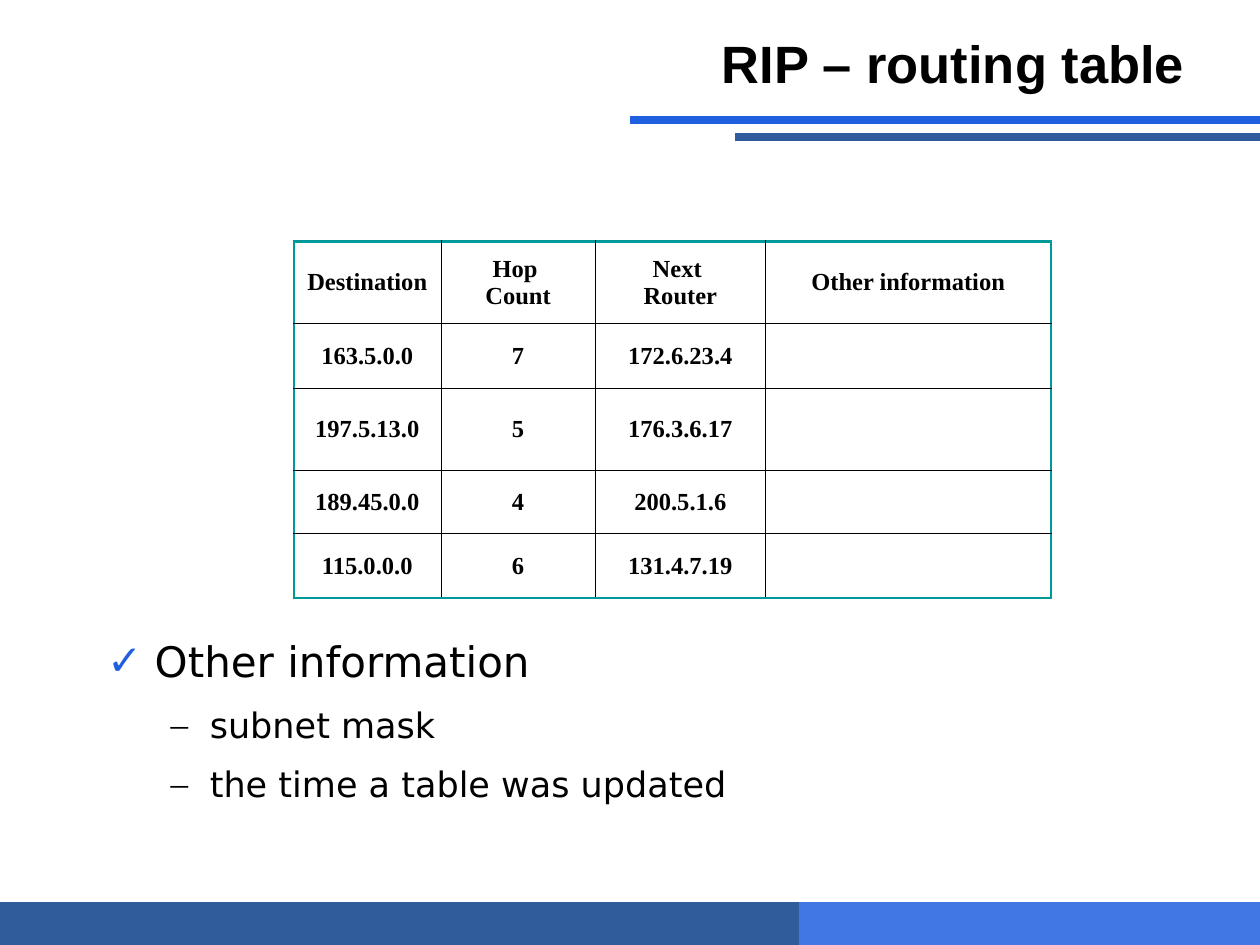
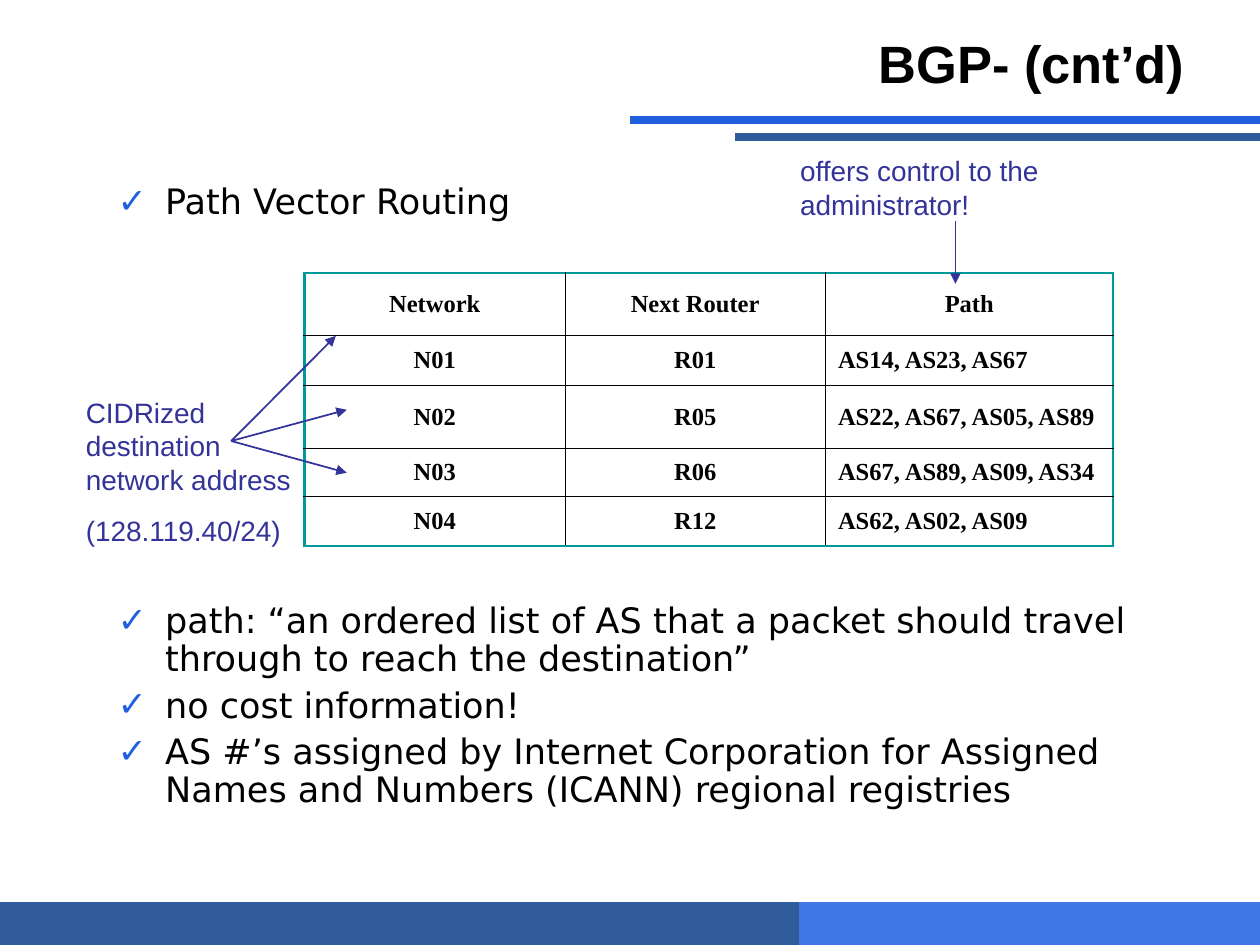
"""Build two slides on the RIP and BGP routing tables."""
import pptx
import pptx.dml.color
import pptx.enum.shapes
import pptx.enum.text
import pptx.oxml.ns
import pptx.util
from lxml import etree

Cm = pptx.util.Cm
Pt = pptx.util.Pt
RGBColor = pptx.dml.color.RGBColor
PP_ALIGN = pptx.enum.text.PP_ALIGN
MIDDLE = pptx.enum.text.MSO_ANCHOR.MIDDLE

BLACK = RGBColor(0x00, 0x00, 0x00)
WHITE = RGBColor(0xFF, 0xFF, 0xFF)
BRIGHT_BLUE = RGBColor(0x20, 0x60, 0xE0)
LIGHT_BLUE = RGBColor(0x40, 0x77, 0xE4)
DARK_BLUE = RGBColor(0x31, 0x5C, 0x9B)
TEAL = RGBColor(0x00, 0x99, 0x99)
INDIGO = RGBColor(0x33, 0x33, 0x99)

TITLE_FONT = "Arial"
BODY_FONT = "DejaVu Sans"
TABLE_FONT = "Times New Roman"

SLIDE_WIDTH, SLIDE_HEIGHT = 25.4, 19.05
FOOTER_HEIGHT = 0.85
CHECK = ("✓", BODY_FONT, BRIGHT_BLUE, 0.96, 0.96)
DASH = ("–", TABLE_FONT, BLACK, 2.07, 0.79)
OUTER_EDGE = (TEAL, 1.47)
INNER_EDGE = (BLACK, 0.45)


def add_xml(parent, tag, **attributes):
    """Append a DrawingML element and return it."""
    return etree.SubElement(parent, pptx.oxml.ns.qn(tag), attributes)


def add_run(paragraph, text, font, size, color, bold=False):
    """Add one styled run."""
    run = paragraph.add_run()
    run.text = text
    run.font.name = font
    run.font.size = Pt(size)
    run.font.bold = bold
    run.font.color.rgb = color


def add_text_frame(slide, left, top, width, height):
    """Add a wrapping text box and return its frame."""
    frame = slide.shapes.add_textbox(Cm(left), Cm(top), Cm(width), Cm(height)).text_frame
    frame.word_wrap = True
    return frame


def next_paragraph(frame, index, space_before):
    """Return the paragraph at the index, spaced from the one above."""
    if index == 0:
        return frame.paragraphs[0]
    paragraph = frame.add_paragraph()
    paragraph.space_before = Pt(space_before)
    return paragraph


def add_line(slide, start, end, color, weight, arrow=False):
    """Draw a straight line, with an arrowhead at its end if wanted."""
    line = slide.shapes.add_connector(
        pptx.enum.shapes.MSO_CONNECTOR.STRAIGHT, *map(Cm, start + end))
    line.line.color.rgb = color
    line.line.width = Pt(weight)
    if arrow:
        add_xml(line.line._get_or_add_ln(), "a:tailEnd", type="triangle")
    add_xml(line._element.spPr, "a:effectLst")


def add_footer_band(slide, left, width, color):
    """Draw one part of the footer."""
    band = slide.shapes.add_shape(
        pptx.enum.shapes.MSO_SHAPE.RECTANGLE, Cm(left),
        Cm(SLIDE_HEIGHT - FOOTER_HEIGHT), Cm(width), Cm(FOOTER_HEIGHT))
    band.shadow.inherit = False
    band.fill.solid()
    band.fill.fore_color.rgb = color
    band.line.color.rgb = color
    band.line.width = Pt(0.75)


def add_titled_slide(presentation, title):
    """Add a slide with the shared footer, title rules and title."""
    slide = presentation.slides.add_slide(presentation.slide_layouts[6])
    add_footer_band(slide, 12.7, 12.7, LIGHT_BLUE)
    add_footer_band(slide, 0, 16.1, DARK_BLUE)
    for left, height, color in ((12.7, 2.42, BRIGHT_BLUE), (14.82, 2.76, DARK_BLUE)):
        add_line(slide, (SLIDE_WIDTH, height), (left, height), color, 4.5)
    frame = add_text_frame(slide, 1.27, 0.42, 22.86, 1.7)
    frame.vertical_anchor = MIDDLE
    frame.paragraphs[0].alignment = PP_ALIGN.RIGHT
    add_run(frame.paragraphs[0], title, TITLE_FONT, 30, BLACK, bold=True)
    return slide


def add_bullets(slide, left, top, height, items, line_spacing):
    """Add a list of (text, size, bullet) items."""
    frame = add_text_frame(slide, left, top, 22.43, height)
    for index, (text, size, bullet) in enumerate(items):
        mark, mark_font, mark_color, margin, hanging = bullet
        paragraph = next_paragraph(frame, index, 5)
        paragraph.level = 1 if bullet is DASH else 0
        paragraph.line_spacing = line_spacing
        properties = paragraph._p.get_or_add_pPr()
        properties.set("marL", str(Cm(margin)))
        properties.set("indent", str(-Cm(hanging)))
        add_xml(add_xml(properties, "a:buClr"), "a:srgbClr", val=str(mark_color))
        add_xml(properties, "a:buFont", typeface=mark_font)
        add_xml(properties, "a:buChar", char=mark)
        add_run(paragraph, text, BODY_FONT, size, BLACK)


def add_annotation(slide, left, top, width, height, texts):
    """Add an indigo remark beside a table."""
    frame = add_text_frame(slide, left, top, width, height)
    for index, text in enumerate(texts):
        add_run(next_paragraph(frame, index, 10), text, TITLE_FONT, 16, INDIGO)


def set_edges(cell, outer_sides):
    """Draw the cell borders, the outer ones in the frame colour."""
    properties = cell._tc.get_or_add_tcPr()
    for position, side in enumerate(("L", "R", "T", "B")):
        color, weight = OUTER_EDGE if side in outer_sides else INNER_EDGE
        edge = etree.Element(pptx.oxml.ns.qn("a:ln" + side), w=str(Pt(weight)))
        add_xml(add_xml(edge, "a:solidFill"), "a:srgbClr", val=str(color))
        properties.insert(position, edge)


def fill_cell(cell, text, alignment):
    """Write a table cell, one run for each line of its text."""
    cell.fill.solid()
    cell.fill.fore_color.rgb = WHITE
    cell.vertical_anchor = MIDDLE
    paragraph = cell.text_frame.paragraphs[0]
    paragraph.alignment = alignment
    for index, line in enumerate(text.split("\n") if text else ()):
        if index:
            paragraph.add_line_break()
        add_run(paragraph, line, TABLE_FONT, 14, BLACK, bold=True)


def add_routing_table(slide, left, top, widths, heights, rows, left_column=None):
    """Add a framed table; left_column is left-aligned below its heading."""
    table = slide.shapes.add_table(
        len(heights), len(widths), Cm(left), Cm(top),
        Cm(sum(widths)), Cm(sum(heights))).table
    table.first_row = table.horz_banding = False
    for column, width in zip(table.columns, widths):
        column.width = Cm(width)
    for row, height in zip(table.rows, heights):
        row.height = Cm(height)
    last_row, last_column = len(heights) - 1, len(widths) - 1
    for r, texts in enumerate(rows):
        for c, text in enumerate(texts):
            cell = table.cell(r, c)
            is_left = r > 0 and c == left_column
            fill_cell(cell, text, PP_ALIGN.LEFT if is_left else PP_ALIGN.CENTER)
            at_frame = {"L": c == 0, "R": c == last_column, "T": r == 0, "B": r == last_row}
            set_edges(cell, [side for side, outer in at_frame.items() if outer])


def build_rip_slide(presentation):
    """Build the RIP routing table slide."""
    slide = add_titled_slide(presentation, "RIP – routing table")
    add_bullets(slide, 1.91, 12.49, 4.24, [
        ("Other information", 24, CHECK),
        ("subnet mask", 20, DASH),
        ("the time a table was updated", 20, DASH),
    ], 1.2)
    add_routing_table(
        slide, 5.92, 4.87, (2.97, 3.11, 3.43, 5.76), (1.65, 1.31, 1.65, 1.27, 1.31), [
            ("Destination", "Hop \nCount", "Next \nRouter", "Other information"),
            ("163.5.0.0", "7", "172.6.23.4", ""),
            ("197.5.13.0", "5", "176.3.6.17", ""),
            ("189.45.0.0", "4", "200.5.1.6", ""),
            ("115.0.0.0", "6", "131.4.7.19", ""),
        ])


def build_bgp_slide(presentation):
    """Build the BGP path vector slide."""
    slide = add_titled_slide(presentation, "BGP- (cnt’d)")
    add_bullets(slide, 2.12, 3.6, 1.2, [("Path Vector Routing", 20, CHECK)], 0.9)
    add_bullets(slide, 2.12, 12.04, 4.9, [(text, 20, CHECK) for text in (
        "path: “an ordered list of AS that a packet should travel "
        "through to reach the destination”",
        "no cost information!",
        "AS #’s assigned by Internet Corporation for Assigned Names "
        "and Numbers (ICANN) regional registries",
    )], 0.9)
    add_routing_table(
        slide, 6.14, 5.5, (5.25, 5.25, 5.8), (1.26, 1.01, 1.27, 0.97, 1.0), [
            ("Network", "Next Router", "Path"),
            ("N01", "R01", "AS14, AS23, AS67"),
            ("N02", "R05", "AS22, AS67, AS05, AS89"),
            ("N03", "R06", "AS67, AS89, AS09, AS34"),
            ("N04", "R12", "AS62, AS02, AS09"),
        ], left_column=2)
    add_annotation(slide, 1.48, 7.84, 4.7, 3.33,
                   ["CIDRized destination network address", "(128.119.40/24)"])
    for network in ((6.77, 6.77), (6.99, 8.26), (6.99, 9.53)):
        add_line(slide, (4.66, 8.89), network, INDIGO, 1, arrow=True)
    add_annotation(slide, 15.88, 2.97, 6.99, 1.63, ["offers control to the administrator!"])
    add_line(slide, (19.26, 4.45), (19.26, 5.72), INDIGO, 1, arrow=True)


def main():
    """Build and save the presentation."""
    presentation = pptx.Presentation()
    presentation.slide_width = Cm(SLIDE_WIDTH)
    presentation.slide_height = Cm(SLIDE_HEIGHT)
    build_rip_slide(presentation)
    build_bgp_slide(presentation)
    presentation.save("out.pptx")


if __name__ == "__main__":
    main()
